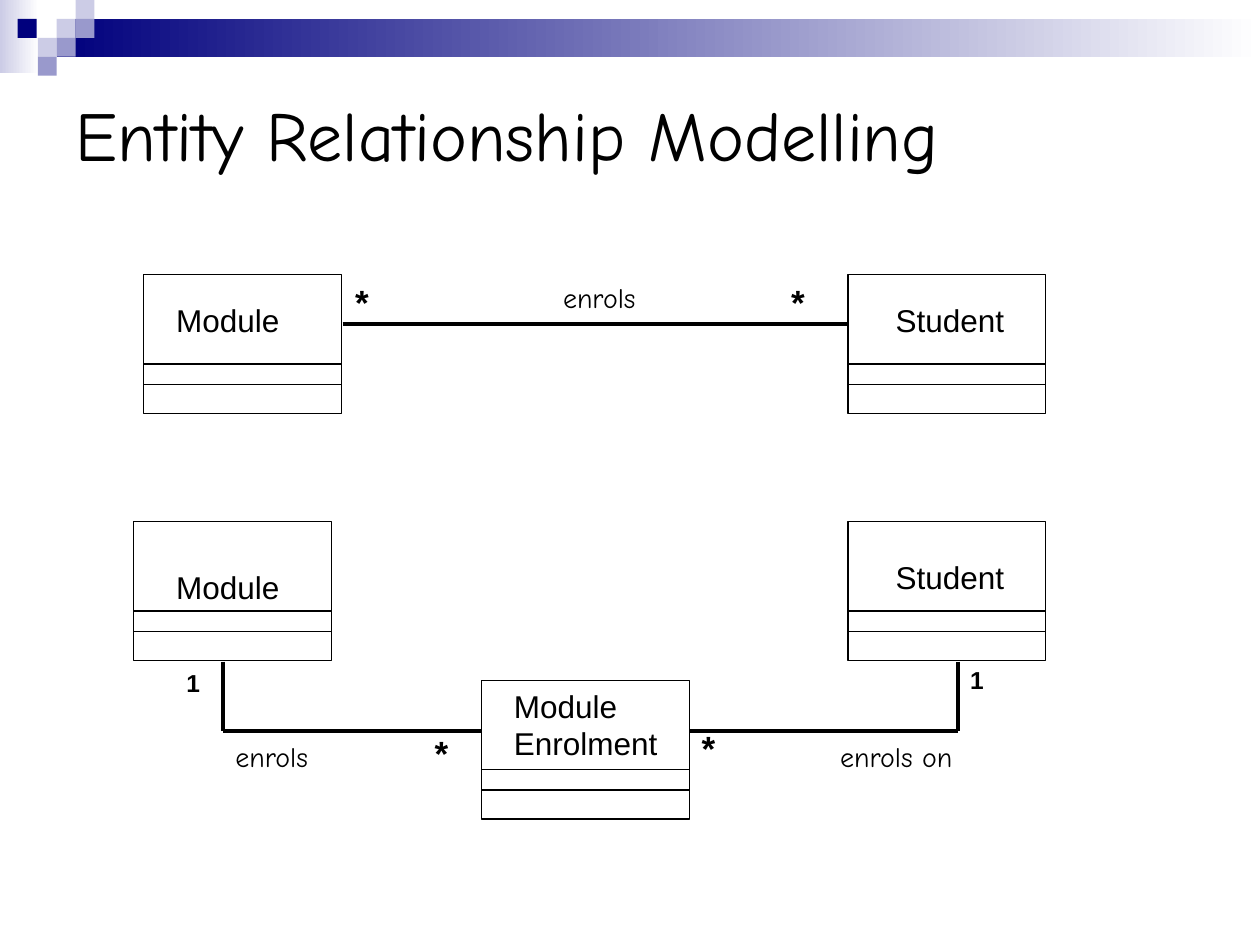
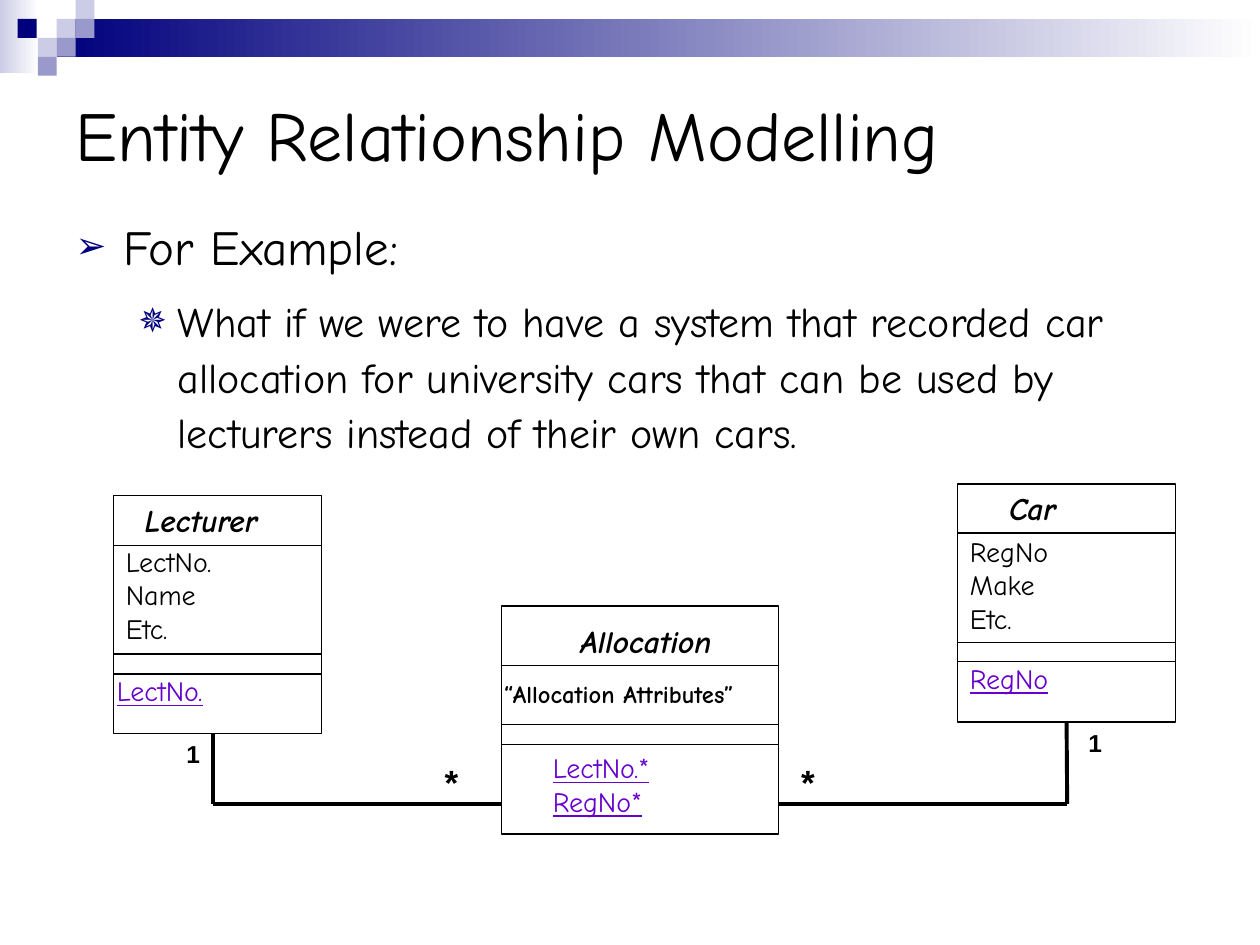
from lxml import etree
from pptx import Presentation
from pptx.dml.color import RGBColor
from pptx.enum.shapes import MSO_CONNECTOR, MSO_SHAPE
from pptx.enum.text import MSO_ANCHOR, MSO_AUTO_SIZE, PP_ALIGN
from pptx.oxml.ns import qn
from pptx.util import Inches, Pt

STRAIGHT = MSO_CONNECTOR.STRAIGHT
RECTANGLE = MSO_SHAPE.RECTANGLE
MIDDLE = MSO_ANCHOR.MIDDLE
TOP = MSO_ANCHOR.TOP
NO_AUTOFIT = MSO_AUTO_SIZE.NONE
LEFT = PP_ALIGN.LEFT

BLACK = RGBColor(0x00, 0x00, 0x00)
WHITE = RGBColor(0xFF, 0xFF, 0xFF)
NAVY = RGBColor(0x00, 0x00, 0x7D)
LILAC = RGBColor(0x99, 0x99, 0xCC)
PALE = RGBColor(0xCC, 0xCC, 0xE6)
PURPLE = RGBColor(0x66, 0x00, 0xCC)

SANS = "Arial"
COMIC = "Comic Neue"
TITLE = "Entity Relationship Modelling"
TILE = 0.15
TILES = [
    (0.45, 0.15, PALE), (0.6, 0, PALE), (0.6, 0.15, LILAC), (0.3, 0.3, PALE),
    (0.14, 0.15, NAVY), (0.45, 0.3, LILAC), (0.3, 0.45, LILAC),
]
THIN = 0.75
THICK = 2.25
BOTTOM_SITE = 2


def add_rectangle(page, left, top, width, height):
    box = page.shapes.add_shape(
        RECTANGLE, Inches(left), Inches(top), Inches(width), Inches(height))
    box.shadow.inherit = False
    return box


def add_gradient(page, left, top, width, height, color):
    band = add_rectangle(page, left, top, width, height)
    band.line.fill.background()
    band.fill.gradient()
    band.fill.gradient_angle = 0
    for stop, position, shade in zip(band.fill.gradient_stops, (0, 1), (color, WHITE)):
        stop.position = position
        stop.color.rgb = shade


def add_header(page):
    add_gradient(page, 0, 0, 0.31, 0.58, PALE)
    add_gradient(page, 0.45, 0.15, 9.55, 0.3, NAVY)
    for left, top, color in TILES:
        tile = add_rectangle(page, left, top, TILE, TILE)
        tile.fill.solid()
        tile.fill.fore_color.rgb = color
        tile.line.fill.background()


def place(shape, left, top, width, height):
    shape.left, shape.top = Inches(left), Inches(top)
    shape.width, shape.height = Inches(width), Inches(height)


def add_span(para, words, size, font=COMIC, color=BLACK,
             bold=False, italic=False, underline=False):
    span = para.add_run()
    span.text = words
    span.font.name = font
    span.font.size = Pt(size)
    span.font.color.rgb = color
    span.font.bold = bold
    span.font.italic = italic
    span.font.underline = underline


def add_page(deck, layout_index):
    page = deck.slides.add_slide(deck.slide_layouts[layout_index])
    add_header(page)
    title = page.shapes.title
    place(title, 0.5, 0.5, 9, 1.12)
    frame = title.text_frame
    frame.auto_size = NO_AUTOFIT
    frame.vertical_anchor = MIDDLE
    para = frame.paragraphs[0]
    para.alignment = LEFT
    add_span(para, TITLE, 40)
    return page


def add_text(page, left, top, width, height, lines, size, **style):
    box = page.shapes.add_textbox(
        Inches(left), Inches(top), Inches(width), Inches(height))
    frame = box.text_frame
    frame.word_wrap = True
    for index, words in enumerate(lines):
        para = frame.add_paragraph() if index else frame.paragraphs[0]
        add_span(para, words, size, **style)


def add_name(page, left, top, width, words, height=0.4):
    add_text(page, left, top, width, height, [words], 18, font=SANS)


def add_heading(page, left, top, width, words):
    add_text(page, left, top, width, 0.4, [words], 18, bold=True, italic=True)


def add_relation(page, left, top, width, words):
    add_text(page, left, top, width, 0.37, [words], 16)


def add_keys(page, left, top, width, height, keys):
    add_text(page, left, top, width, height, keys, 16, color=PURPLE, underline=True)


def add_many(page, left, top):
    add_text(page, left, top, 0.55, 0.44, ["*"], 20, font=SANS, bold=True)


def add_one(page, left, top):
    add_text(page, left, top, 0.32, 0.34, ["1"], 14, font=SANS, bold=True)


def add_line(page, start, end, weight):
    line = page.shapes.add_connector(
        STRAIGHT, *(Inches(value) for value in (*start, *end)))
    line.line.color.rgb = BLACK
    line.line.width = Pt(weight)
    etree.SubElement(line._element.spPr, qn("a:effectLst"))
    return line


def add_entity(page, left, top, width, height, dividers):
    box = add_rectangle(page, left, top, width, height)
    box.fill.background()
    box.line.color.rgb = BLACK
    box.line.width = Pt(THIN)
    for offset in dividers:
        level = top + offset
        add_line(page, (left, level), (left + width, level), THIN)
    return box


def add_elbow(page, start, corner, end):
    drop = add_line(page, start, corner, THICK)
    add_line(page, corner, end, THICK)
    return drop


def add_bullet(para, words, size, level, indent, hanging, mark, percent, before):
    para.level = level
    properties = para._p.get_or_add_pPr()
    properties.set("marL", str(Inches(indent)))
    properties.set("indent", str(-Inches(hanging)))
    color = etree.SubElement(properties, qn("a:buClr"))
    etree.SubElement(color, qn("a:srgbClr"), val=str(NAVY))
    etree.SubElement(properties, qn("a:buSzPct"), val=str(percent * 1000))
    etree.SubElement(properties, qn("a:buChar"), char=mark)
    para.line_spacing = 1.1
    para.space_before = Pt(before)
    add_span(para, words, size)


def build_enrolment(deck):
    page = add_page(deck, 5)
    for left, top, width in [(1.14, 2.18, 1.57), (6.73, 2.18, 1.57),
                             (1.06, 4.14, 1.57), (6.73, 4.14, 1.57),
                             (3.82, 5.4, 1.65)]:
        add_entity(page, left, top, width, 1.1, (0.71, 0.87))
    add_name(page, 1.3, 2.34, 1.1, "Module")
    add_name(page, 7.01, 2.34, 1.2, "Student")
    add_name(page, 1.3, 4.46, 1.1, "Module")
    add_name(page, 7.01, 4.38, 1.2, "Student")
    add_name(page, 3.98, 5.4, 1.42, "Module Enrolment", 0.7)

    add_line(page, (2.72, 2.57), (6.73, 2.57), THICK)
    add_elbow(page, (1.77, 5.25), (1.77, 5.8), (3.82, 5.8))
    add_elbow(page, (7.6, 5.25), (7.6, 5.8), (5.47, 5.8))

    add_relation(page, 4.37, 2.18, 0.95, "enrols")
    add_relation(page, 1.77, 5.82, 0.95, "enrols")
    add_relation(page, 6.57, 5.82, 1.26, "enrols on")
    for left, top in [(2.72, 2.18), (6.18, 2.18), (3.35, 5.76), (5.47, 5.72)]:
        add_many(page, left, top)
    add_one(page, 1.38, 5.25)
    add_one(page, 7.6, 5.23)


def build_allocation(deck):
    page = add_page(deck, 1)
    body = page.placeholders[1]
    place(body, 0.5, 1.62, 9.3, 2.84)
    frame = body.text_frame
    frame.auto_size = NO_AUTOFIT
    frame.vertical_anchor = TOP
    add_bullet(frame.paragraphs[0], "For Example:", 28, 0, 0.38, 0.38, "➢", 75, 0)
    add_bullet(
        frame.add_paragraph(),
        "What if we were to have a system that recorded car allocation for "
        "university cars that can be used by lecturers instead of their own cars.",
        24, 1, 0.81, 0.31, "✵", 80, 9)

    add_entity(page, 0.9, 3.93, 1.65, 1.89, (0.4, 1.26, 1.42))
    car = add_entity(page, 7.6, 3.84, 1.73, 1.89, (0.39, 1.26, 1.41))
    add_entity(page, 3.98, 4.81, 2.2, 1.81, (0.47, 0.94, 1.1))

    add_heading(page, 1.05, 3.93, 1.3, "Lecturer")
    add_heading(page, 7.91, 3.83, 1.42, "Car")
    add_heading(page, 4.51, 4.89, 1.5, "Allocation")
    add_text(page, 0.9, 4.27, 1.65, 0.9, ["LectNo.", "Name", "Etc."], 16)
    add_text(page, 7.6, 4.19, 1.77, 0.9, ["RegNo", "Make", "Etc."], 16)
    add_text(page, 3.9, 5.34, 2.44, 0.34, ["“Allocation Attributes”"], 14, bold=True)
    add_keys(page, 0.83, 5.3, 1.65, 0.37, ["LectNo."])
    add_keys(page, 7.6, 5.2, 1.77, 0.37, ["RegNo"])
    add_keys(page, 4.29, 5.91, 1.97, 0.9, ["LectNo.*", "RegNo*"])

    add_elbow(page, (1.69, 5.82), (1.69, 6.38), (3.98, 6.38))
    drop = add_elbow(page, (8.47, 5.73), (8.47, 6.38), (6.18, 6.38))
    drop.begin_connect(car, BOTTOM_SITE)
    add_many(page, 3.43, 5.99)
    add_many(page, 6.26, 5.99)
    add_one(page, 1.38, 5.82)
    add_one(page, 8.54, 5.73)


def main():
    deck = Presentation()
    deck.slide_width = Inches(10)
    deck.slide_height = Inches(7.5)
    build_enrolment(deck)
    build_allocation(deck)
    deck.save("out.pptx")


if __name__ == "__main__":
    main()
